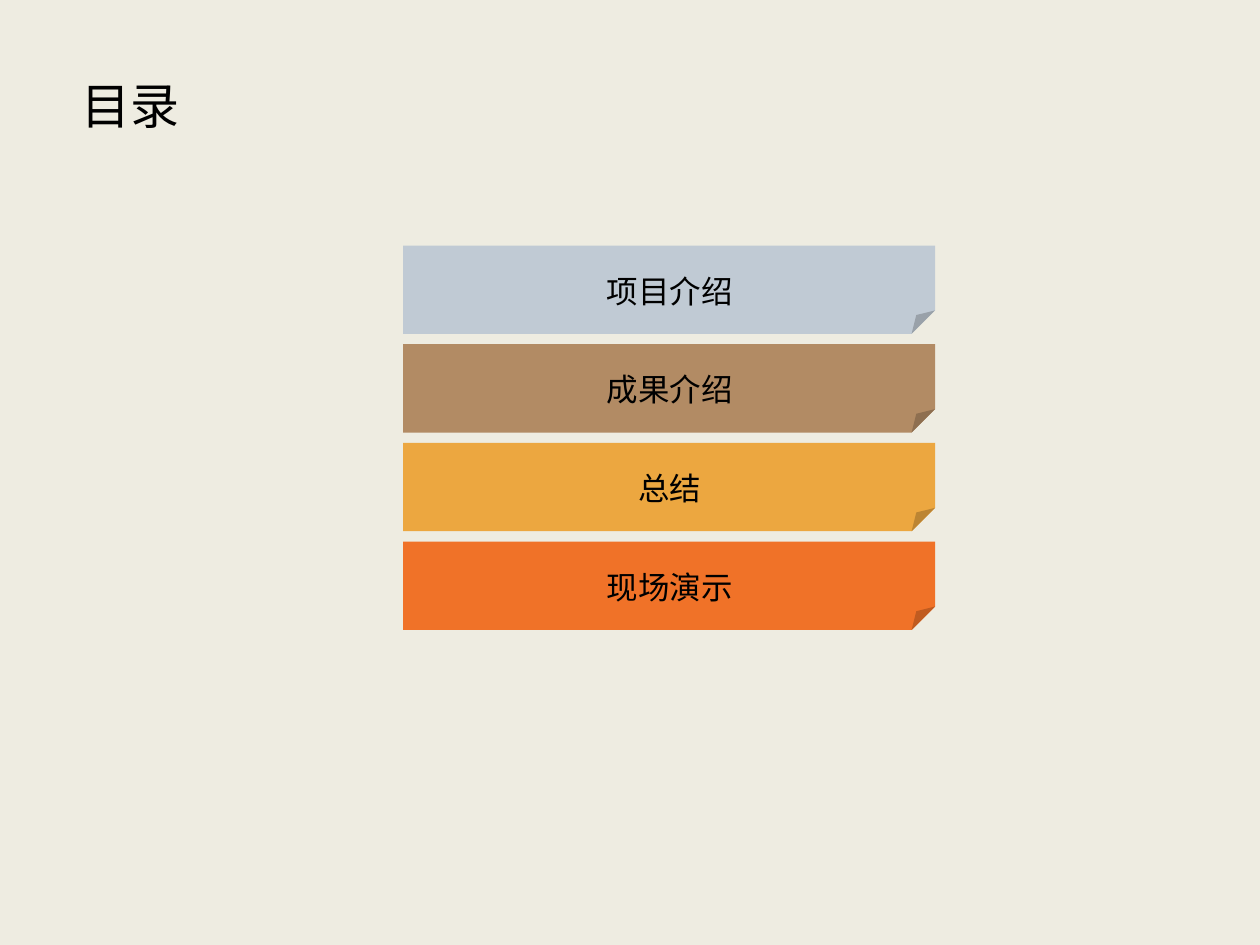
from lxml import etree
from pptx import Presentation
from pptx import util as u
from pptx.dml.color import RGBColor
from pptx.enum import shapes, text
from pptx.oxml import ns

COLOURS = {
    "background": "EEECE1",
    "text": "000000",
    "blue": "C0CAD4",
    "brown": "B28B64",
    "yellow": "ECA740",
    "orange": "F07228",
}
CHAPTERS = [
    ("项目介绍", "blue"),
    ("成果介绍", "brown"),
    ("总结", "yellow"),
    ("现场演示", "orange"),
]
BAND_LEFT, BAND_TOP, BAND_WIDTH, BAND_HEIGHT = 8.13, 4.95, 10.72, 1.78
BAND_PITCH = 1.99
FOLD = 26500
LABEL_CENTRE, LABEL_HEIGHT, LABEL_OFFSET = 13.5, 1.02, 0.4
CHARACTER_WIDTH, SIDE_INSETS = 0.64, 0.51


class SlideStyle:
    font_name = "Noto Sans CJK SC"

    def __init__(self, slide):
        self.slide = slide

    def colour(self, name):
        return RGBColor.from_string(COLOURS[name])

    def background(self):
        fill = self.slide.background.fill
        fill.solid()
        fill.fore_color.rgb = self.colour("background")

    def band(self, top, colour_name):
        band = self.slide.shapes.add_shape(
            shapes.MSO_SHAPE.FOLDED_CORNER,
            u.Cm(BAND_LEFT), u.Cm(top), u.Cm(BAND_WIDTH), u.Cm(BAND_HEIGHT))
        # python-pptx lists no adjustment for this preset
        adjustments = next(band._element.iter(ns.qn("a:avLst")))
        etree.SubElement(adjustments, ns.qn("a:gd"),
                         name="adj", fmla=f"val {FOLD}")
        band.shadow.inherit = False
        band.fill.solid()
        band.fill.fore_color.rgb = self.colour(colour_name)
        band.line.fill.background()

    def label(self, words, left, top, width, height, size,
              wrap=False, align=text.PP_ALIGN.CENTER):
        box = self.slide.shapes.add_textbox(
            u.Cm(left), u.Cm(top), u.Cm(width), u.Cm(height))
        frame = box.text_frame
        frame.text = words
        frame.word_wrap = wrap
        frame.auto_size = text.MSO_AUTO_SIZE.SHAPE_TO_FIT_TEXT
        paragraph = frame.paragraphs[0]
        paragraph.alignment = align
        run = paragraph.runs[0]
        run.font.size = u.Pt(size)
        run.font.color.rgb = self.colour("text")
        run.font.name = self.font_name
        etree.SubElement(run._r.get_or_add_rPr(), ns.qn("a:ea"),
                         typeface=self.font_name)


def main():
    deck = Presentation()
    deck.slide_width, deck.slide_height = u.Cm(25.4), u.Cm(19.05)
    style = SlideStyle(deck.slides.add_slide(deck.slide_layouts[6]))
    style.background()
    style.label("目录", 1.4, 1.4, 2.77, 1.45, 28,
                wrap=True, align=text.PP_ALIGN.LEFT)

    for row, (chapter, colour_name) in enumerate(CHAPTERS):
        top = BAND_TOP + row * BAND_PITCH
        width = len(chapter) * CHARACTER_WIDTH + SIDE_INSETS
        style.band(top, colour_name)
        style.label(chapter, LABEL_CENTRE - width / 2, top + LABEL_OFFSET,
                    width, LABEL_HEIGHT, 18)

    deck.save("out.pptx")


if __name__ == "__main__":
    main()
